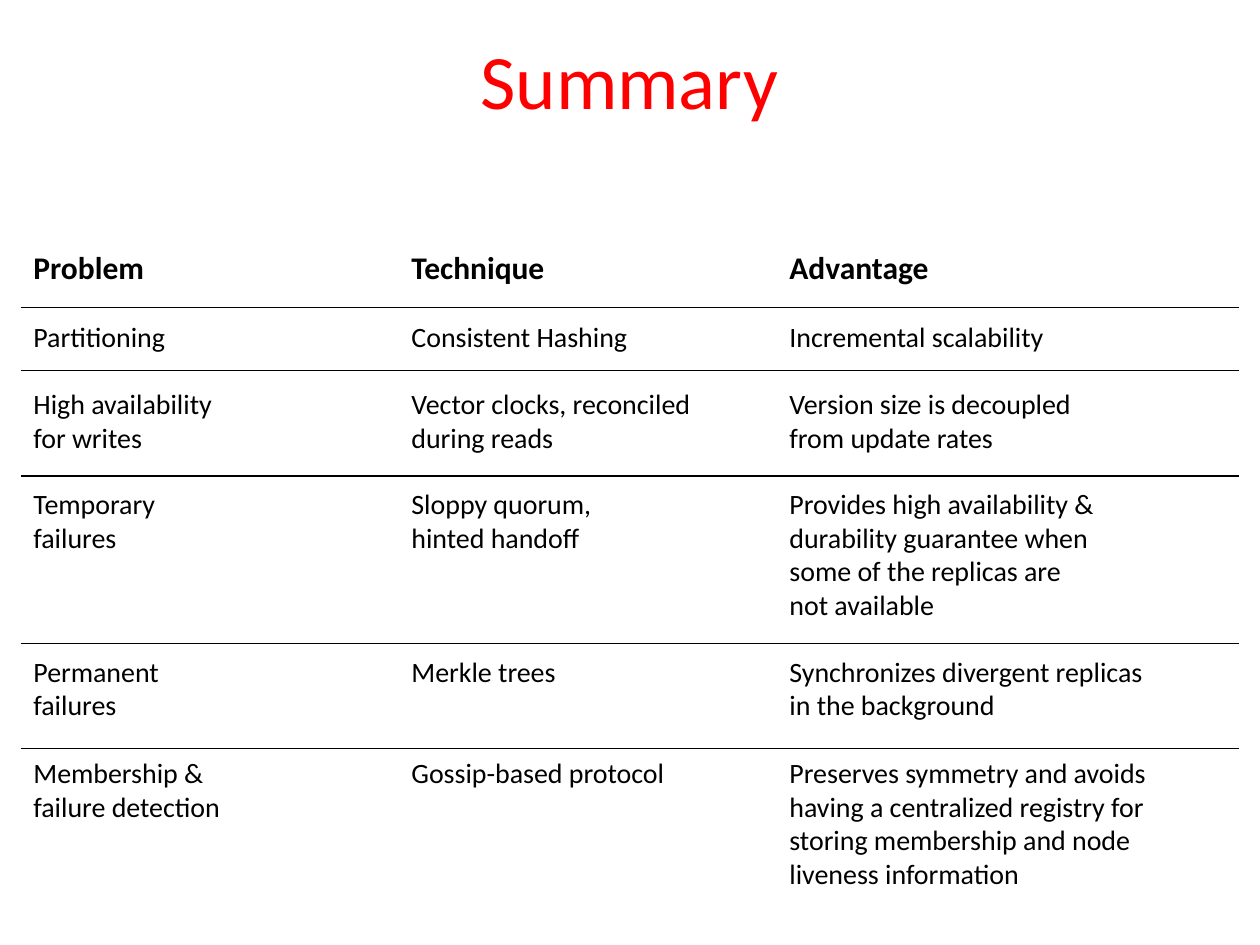
from itertools import accumulate
from lxml import etree
from pptx import Presentation
from pptx.dml.color import RGBColor
from pptx.enum.shapes import MSO_CONNECTOR
from pptx.enum.text import MSO_ANCHOR, PP_ALIGN
from pptx.oxml.ns import qn
from pptx.util import Pt

STRAIGHT = MSO_CONNECTOR.STRAIGHT
MIDDLE, TOP = MSO_ANCHOR.MIDDLE, MSO_ANCHOR.TOP
LEFT, CENTER = PP_ALIGN.LEFT, PP_ALIGN.CENTER
FONT = "Calibri"
COLORS = {"title": "FF0000", "text": "000000", "rule": "000000"}
PLAIN = "{2D5ABB26-0587-4C30-8999-92F81FD0307C}"

TITLE = "Summary"
ROWS = [
    (["Problem"], ["Technique"], ["Advantage"]),
    (["Partitioning"], ["Consistent Hashing"], ["Incremental scalability"]),
    (["High availability", "for writes"],
     ["Vector clocks, reconciled", "during reads"],
     ["Version size is decoupled", "from update rates"]),
    (["Temporary", "failures"],
     ["Sloppy quorum,", "hinted handoff"],
     ["Provides high availability &", "durability guarantee when",
      "some of the replicas are", "not available"]),
    (["Permanent", "failures"],
     ["Merkle trees"],
     ["Synchronizes divergent replicas", "in the background"]),
    (["Membership &", "failure detection"],
     ["Gossip-based protocol"],
     ["Preserves symmetry and avoids", "having a centralized registry for",
      "storing membership and node", "liveness information"]),
]
WIDTHS = [216, 216, 264]
HEIGHTS = [37.5, 36, 60.3, 95.9, 59.8, 88.3]
PADS = [4.2, 7.9, 10.6, 7.2, 7.2, 5.2]
X, Y = 11.9, 138.2


def write(frame, lines, size, color, align, bold=False, pitch=None):
    for i, line in enumerate(lines):
        para = frame.paragraphs[0] if i == 0 else frame.add_paragraph()
        para.alignment = align
        if pitch:
            para.line_spacing = Pt(pitch)
        run = para.add_run()
        run.text = line
        run.font.name = FONT
        run.font.size = Pt(size)
        run.font.bold = bold
        run.font.color.rgb = RGBColor.from_string(COLORS[color])


def add_title(slide):
    title = slide.shapes.title
    title.left, title.top = Pt(0), Pt(0.5)
    title.width, title.height = Pt(719.3), Pt(89.3)
    frame = title.text_frame
    frame.margin_left = frame.margin_right = Pt(0)
    frame.margin_top = frame.margin_bottom = Pt(0)
    frame.vertical_anchor = MIDDLE
    write(frame, [TITLE], 44, "title", CENTER)


def add_grid(slide):
    frame = slide.shapes.add_table(
        len(ROWS), len(WIDTHS), Pt(X), Pt(Y), Pt(sum(WIDTHS)), Pt(sum(HEIGHTS)))
    table = frame.table
    table.horz_banding = False
    table._tbl.tblPr.find(qn("a:tableStyleId")).text = PLAIN
    for col, width in zip(table.columns, WIDTHS):
        col.width = Pt(width)
    for r, (row, texts) in enumerate(zip(table.rows, ROWS)):
        row.height = Pt(HEIGHTS[r])
        head = r == 0
        size, pitch = (18, None) if head else (16, 19.2)
        for cell, lines in zip(row.cells, texts):
            cell.margin_left = cell.margin_right = Pt(7.2)
            cell.margin_top, cell.margin_bottom = Pt(PADS[r]), Pt(0)
            cell.vertical_anchor = TOP
            cell.fill.background()
            write(cell.text_frame, lines, size, "text", LEFT, head, pitch)


def add_rules(slide):
    for drop in accumulate(HEIGHTS[:-1]):
        y = Pt(Y + drop)
        rule = slide.shapes.add_connector(
            STRAIGHT, Pt(X), y, Pt(X + sum(WIDTHS)), y)
        rule.line.width = Pt(0.75)
        rule.line.color.rgb = RGBColor.from_string(COLORS["rule"])
        etree.SubElement(rule._element.spPr, qn("a:effectLst"))


def main():
    deck = Presentation()
    deck.slide_width, deck.slide_height = Pt(720), Pt(540)
    slide = deck.slides.add_slide(deck.slide_layouts[5])
    add_title(slide)
    add_grid(slide)
    add_rules(slide)
    deck.save("out.pptx")


if __name__ == "__main__":
    main()
